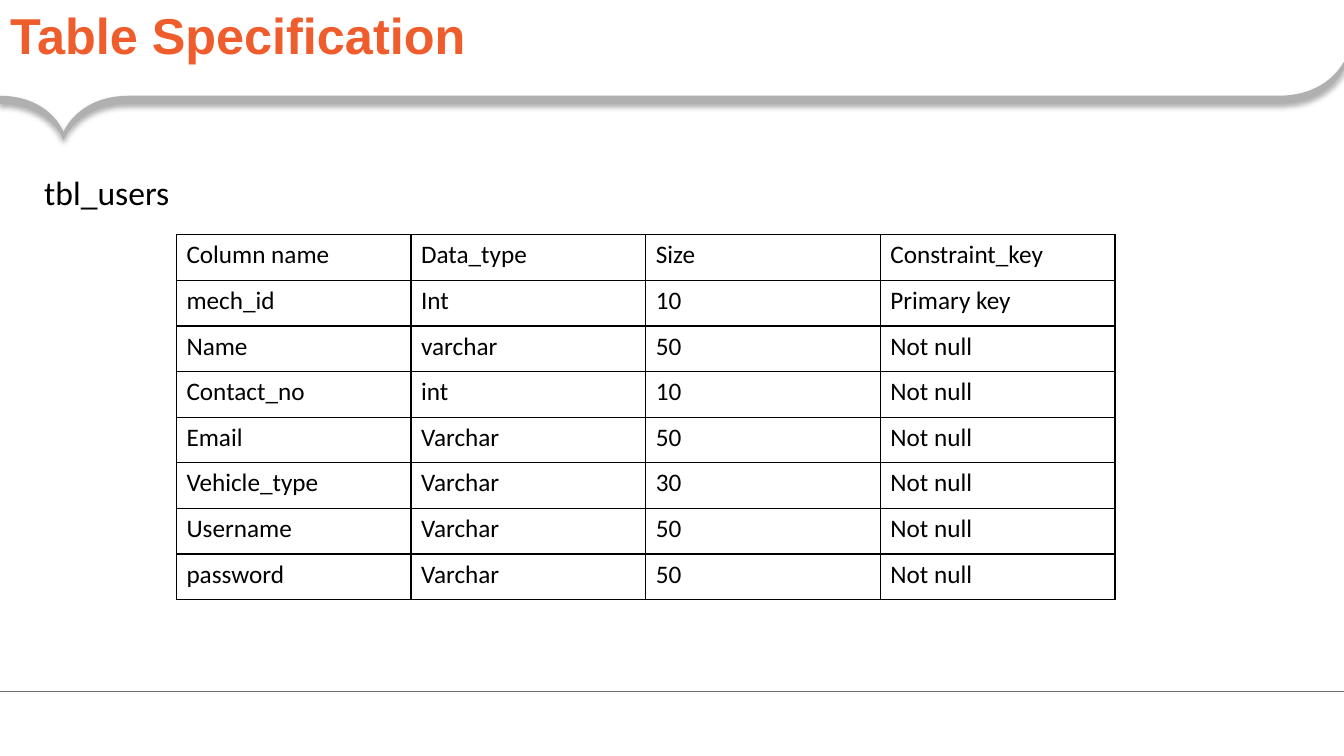
from dataclasses import dataclass

from lxml.etree import SubElement
from pptx import Presentation
from pptx.dml.color import RGBColor
from pptx.enum.shapes import MSO_CONNECTOR, MSO_SHAPE
from pptx.enum.text import MSO_ANCHOR, MSO_AUTO_SIZE, PP_ALIGN
from pptx.oxml import parse_xml
from pptx.oxml.ns import nsdecls, qn
from pptx.util import Inches, Pt

SLIDE_WIDTH, SLIDE_HEIGHT = 13.33, 7.5
BLEED = 0.01


@dataclass(frozen=True)
class Theme:
    title_font: str = "Arial"
    body_font: str = "Calibri"
    title_size: int = 36
    caption_size: int = 24
    cell_size: int = 18
    accent: str = "F05D2C"
    ink: str = "000000"
    paper: str = "FFFFFF"
    ribbon: str = "B0B0B0"
    rule: str = "707070"


THEME = Theme()

USERS_COLUMNS = [
    ("Column name", "Data_type", "Size", "Constraint_key"),
    ("mech_id", "Int", "10", "Primary key"),
    ("Name", "varchar", "50", "Not null"),
    ("Contact_no", "int", "10", "Not null"),
    ("Email", "Varchar", "50", "Not null"),
    ("Vehicle_type", "Varchar", "30", "Not null"),
    ("Username", "Varchar", "50", "Not null"),
    ("password", "Varchar", "50", "Not null"),
]


def write(frame, text, font, size, color, bold=False):
    frame.text = text
    for run in frame.paragraphs[0].runs:
        run.font.name = font
        run.font.size = Pt(size)
        run.font.bold = bold
        run.font.color.rgb = RGBColor.from_string(color)


def place(shape, box):
    shape.left, shape.top, shape.width, shape.height = map(Inches, box)


def add_margin_panel(slide, box):
    panel = slide.shapes.add_shape(MSO_SHAPE.RECTANGLE, *map(Inches, box))
    panel.shadow.inherit = False
    panel.fill.solid()
    panel.fill.fore_color.rgb = RGBColor.from_string(THEME.paper)
    panel.line.color.rgb = RGBColor.from_string(THEME.paper)
    panel.line.width = Pt(1)


def add_curved_outline(slide, start, curves):
    """Build a closed freeform whose curves are (control, control, end) points."""
    builder = slide.shapes.build_freeform(*map(Inches, start), scale=1.0)
    builder.add_line_segments(
        [tuple(map(Inches, end)) for _, _, end in curves], close=True)
    shape = builder.convert_to_shape()
    segments = list(shape._element.iter(qn("a:lnTo")))
    for segment, curve in zip(segments, curves):
        bend = parse_xml(f'<a:cubicBezTo {nsdecls("a")}/>')
        for x, y in curve:
            SubElement(bend, qn("a:pt"), x=str(Inches(x) - shape.left),
                       y=str(Inches(y) - shape.top))
        segment.getparent().replace(segment, bend)
    return shape


def add_ribbon(slide, box, thickness=0.08):
    """Draw the grey band that dips to a point at left and curls up at right."""
    left, top, width, height = box
    right, level, tip = left + width, top + 0.36, top + height - thickness
    notch, shoulder = (left + 0.64, tip), (left + 1.29, level)
    bend = (right - 0.66, level)
    edge = [
        (left, level),
        (left + 0.51, level), notch, notch,
        notch, (left + 0.78, level), shoulder,
        bend, bend, bend,
        (right - 0.15, level), (right, top), (right, top),
    ]
    lower = [(x, y + thickness) for x, y in edge]
    upper_back = edge[::-1]
    side = [upper_back[0]] * 3
    points = lower[1:] + side + upper_back[1:]
    curves = [points[i:i + 3] for i in range(0, len(points), 3)]
    ribbon = add_curved_outline(slide, lower[0], curves)
    ribbon.fill.solid()
    ribbon.fill.fore_color.rgb = RGBColor.from_string(THEME.ribbon)
    ribbon.line.fill.background()
    ribbon._element.spPr.append(parse_xml(
        f'<a:effectLst {nsdecls("a")}>'
        f'<a:outerShdw blurRad="{Pt(4)}" dist="{Pt(2)}" dir="5400000" rotWithShape="0">'
        f'<a:srgbClr val="{THEME.ink}"><a:alpha val="31000"/></a:srgbClr>'
        '</a:outerShdw></a:effectLst>'))


def add_footer_rule(slide, y):
    rule = slide.shapes.add_connector(
        MSO_CONNECTOR.STRAIGHT, Inches(SLIDE_WIDTH), Inches(y), Inches(-BLEED), Inches(y))
    rule.line.width = Pt(0.75)
    rule.line.color.rgb = RGBColor.from_string(THEME.rule)
    SubElement(rule._element.spPr, qn("a:effectLst"))


def add_title(slide, text, box):
    title = slide.shapes.title
    place(title, box)
    frame = title.text_frame
    write(frame, text, THEME.title_font, THEME.title_size, THEME.accent, bold=True)
    frame.auto_size = MSO_AUTO_SIZE.NONE
    frame.vertical_anchor = MSO_ANCHOR.MIDDLE
    frame.paragraphs[0].alignment = PP_ALIGN.LEFT
    frame.paragraphs[0].line_spacing = 0.9


def add_caption(slide, text, box):
    caption = slide.shapes.add_textbox(*map(Inches, box))
    caption.text_frame.word_wrap = True
    caption.text_frame.auto_size = MSO_AUTO_SIZE.SHAPE_TO_FIT_TEXT
    write(caption.text_frame, text, THEME.body_font, THEME.caption_size, THEME.ink)


def outline_cell(cell):
    properties = cell._tc.get_or_add_tcPr()
    for side in ("lnL", "lnR", "lnT", "lnB"):
        properties.append(parse_xml(
            f'<a:{side} {nsdecls("a")} w="{Pt(1)}"><a:solidFill>'
            f'<a:srgbClr val="{THEME.ink}"/></a:solidFill></a:{side}>'))


def add_specification(slide, rows, box):
    table = slide.shapes.add_table(len(rows), len(rows[0]), *map(Inches, box)).table
    table.first_row = table.horz_banding = False
    for row_index, row in enumerate(rows):
        for column_index, text in enumerate(row):
            cell = table.cell(row_index, column_index)
            write(cell.text_frame, text, THEME.body_font, THEME.cell_size, THEME.ink)
            outline_cell(cell)
            cell.fill.background()


def add_backdrop(slide):
    add_margin_panel(slide, (SLIDE_WIDTH - 1.3, 4.76, 1.3, 2.73))
    add_margin_panel(slide, (SLIDE_WIDTH - 0.91, 0, 0.91, 0.61))
    add_footer_rule(slide, 6.86)
    add_ribbon(slide, (-BLEED, 0.59, SLIDE_WIDTH + 2 * BLEED, 0.8))


def build_table_slide(presentation, title, caption, rows):
    slide = presentation.slides.add_slide(presentation.slide_layouts[5])
    add_backdrop(slide)
    add_title(slide, title, (0, 0, 11.5, 0.75))
    add_caption(slide, caption, (0.34, 1.66, 5.85, 0.5))
    add_specification(slide, rows, (1.75, 2.33, 9.31, 3.62))


def main():
    presentation = Presentation()
    presentation.slide_width = Inches(SLIDE_WIDTH)
    presentation.slide_height = Inches(SLIDE_HEIGHT)
    build_table_slide(presentation, "Table Specification", "tbl_users", USERS_COLUMNS)
    presentation.save("out.pptx")


if __name__ == "__main__":
    main()
